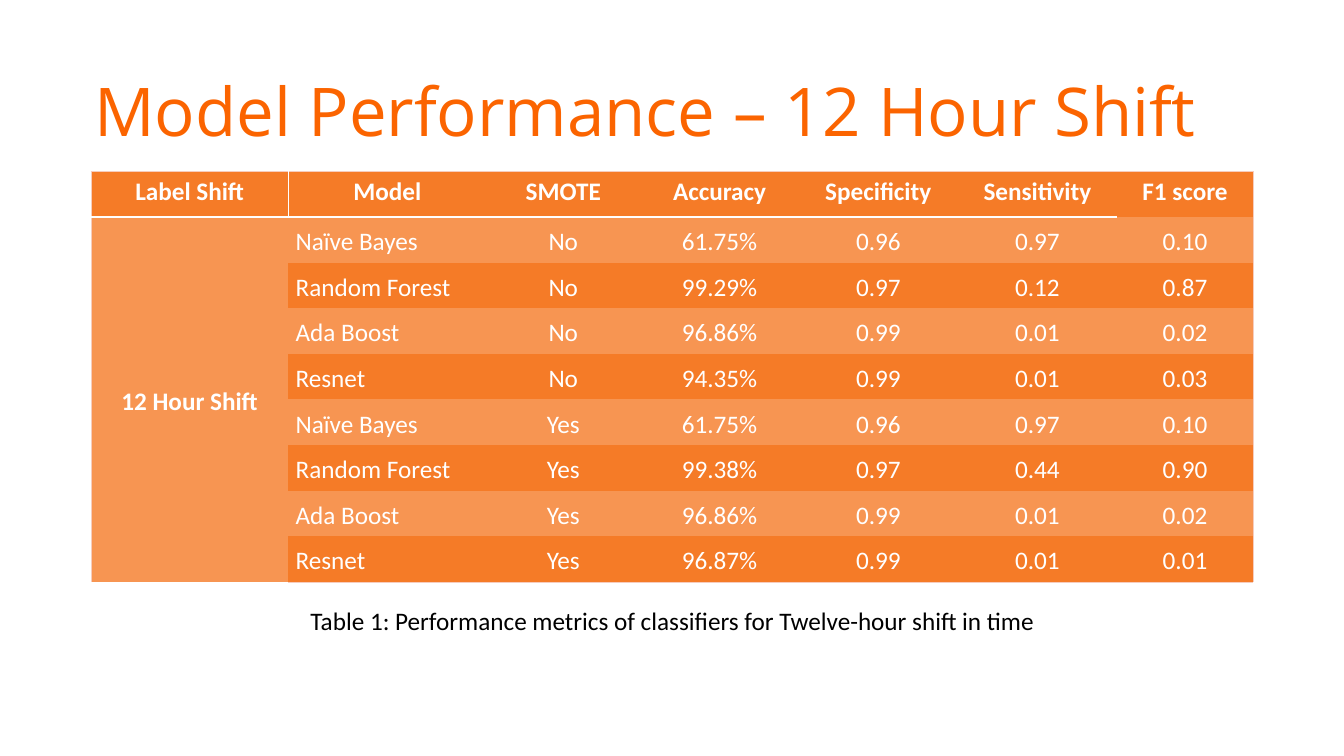
from lxml.etree import SubElement
from pptx import Presentation
from pptx.dml.color import RGBColor
from pptx.enum.text import MSO_ANCHOR, PP_ALIGN
from pptx.oxml.ns import qn
from pptx.util import Cm, Pt

WHITE, PALE, DARK, LIGHT = "FFFFFF", "F6CCBE", "F57B27", "F79552"
NO_STYLE = "{2D5ABB26-0587-4C30-8999-92F81FD0307C}"


def write(para, text, size, hue, font="Calibri", bold=False):
    """Add one styled run to a paragraph."""
    run = para.add_run()
    run.text = text
    run.font.size, run.font.name, run.font.bold = Pt(size), font, bold
    run.font.color.rgb = RGBColor.from_string(hue)


def edge(cell, side, hue, width):
    """Draw one border of a cell; sides go in the order L, R, T, B."""
    props = cell._tc.get_or_add_tcPr()
    line = SubElement(props, qn(f"a:ln{side}"), w=str(Pt(width)))
    SubElement(SubElement(line, qn("a:solidFill")), qn("a:srgbClr"), val=hue)


deck = Presentation()
deck.slide_width, deck.slide_height = Cm(33.87), Cm(19.05)
slide = deck.slides.add_slide(deck.slide_layouts[6])

# Title
frame = slide.shapes.add_textbox(Cm(0.86), Cm(1.6), Cm(30.66), Cm(2.31)).text_frame
frame.word_wrap = True
frame.vertical_anchor = MSO_ANCHOR.MIDDLE
para = frame.paragraphs[0]
para._p.get_or_add_pPr().set("marL", str(Cm(1.27)))
write(para, "Model Performance – 12 Hour Shift", 48, "FB6400", "Open Sans")

# Table of scores
heads = ["Label Shift", "Model", "SMOTE", "Accuracy", "Specificity",
         "Sensitivity", "F1 score"]
scores = [
    ("Naïve Bayes", "No", "61.75%", "0.96", "0.97", "0.10"),
    ("Random Forest", "No", "99.29%", "0.97", "0.12", "0.87"),
    ("Ada Boost", "No", "96.86%", "0.99", "0.01", "0.02"),
    ("Resnet", "No", "94.35%", "0.99", "0.01", "0.03"),
    ("Naïve Bayes", "Yes", "61.75%", "0.96", "0.97", "0.10"),
    ("Random Forest", "Yes", "99.38%", "0.97", "0.44", "0.90"),
    ("Ada Boost", "Yes", "96.86%", "0.99", "0.01", "0.02"),
    ("Resnet", "Yes", "96.87%", "0.99", "0.01", "0.01"),
]
rows = [heads] + [("", *score) for score in scores]
rows[1] = ("12 Hour Shift", *scores[0])
widths = [4.98, 4.98, 3.89, 3.99, 4.01, 4.01, 3.43]
last_row, last_col = len(rows) - 1, len(heads) - 1

table = slide.shapes.add_table(len(rows), len(heads), Cm(2.29), Cm(4.32),
                               Cm(sum(widths)), Cm(1.15 * len(rows))).table
table.first_row = table.horz_banding = False
table._tbl.tblPr.find(qn("a:tableStyleId")).text = NO_STYLE
for col, width in zip(table.columns, widths):
    col.width = Cm(width)
table.cell(1, 0).merge(table.cell(last_row, 0))

for r, row in enumerate(rows):
    table.rows[r].height = Cm(1.15)
    for c, text in enumerate(row):
        cell = table.cell(r, c)
        cell.margin_left = cell.margin_right = Cm(0.18)
        cell.margin_top = cell.margin_bottom = 0
        cell.vertical_anchor = MSO_ANCHOR.MIDDLE if r else MSO_ANCHOR.TOP
        if c == 0:
            edge(cell, "L", PALE, 0.5)
        if c == last_col:
            edge(cell, "R", PALE, 0.5)
        elif r == c == 0:
            edge(cell, "R", WHITE, 1)
        if r == 0:
            edge(cell, "T", PALE, 0.5)
        if r == last_row:
            edge(cell, "B", PALE, 0.5)
        elif r == 0 and c < last_col:
            edge(cell, "B", WHITE, 1.5)
        cell.fill.solid()
        light = r % 2 or (r and c == 0)
        cell.fill.fore_color.rgb = RGBColor.from_string(LIGHT if light else DARK)
        if text:
            para = cell.text_frame.paragraphs[0]
            para.line_spacing = 1.15
            para.alignment = PP_ALIGN.LEFT if r and c == 1 else PP_ALIGN.CENTER
            write(para, text, 18, WHITE, bold=r == 0 or c == 0)

# Caption
frame = slide.shapes.add_textbox(Cm(6.99), Cm(15.14), Cm(19.91), Cm(1.02)).text_frame
frame.word_wrap = True
para = frame.paragraphs[0]
para.alignment = PP_ALIGN.CENTER
write(para, "Table 1: Performance metrics of classifiers for Twelve-hour shift in time",
      18, "000000")

deck.save("out.pptx")
